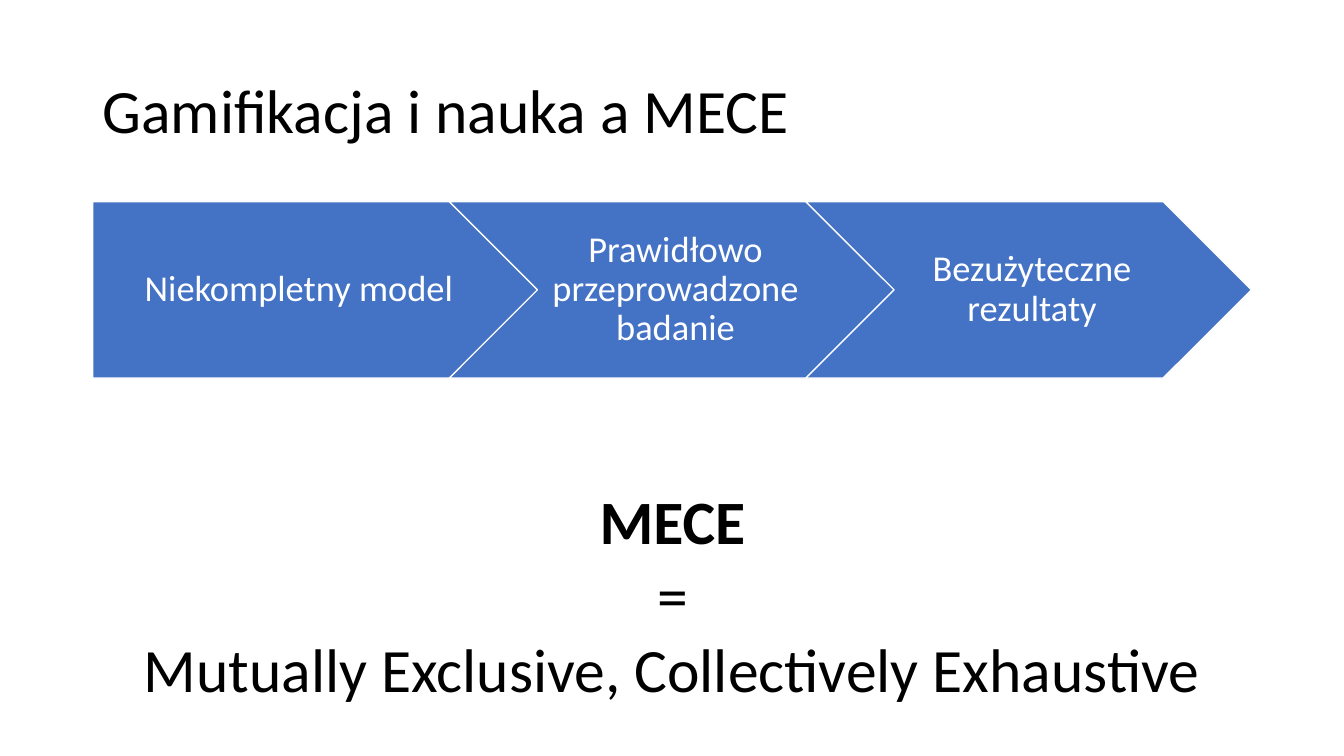
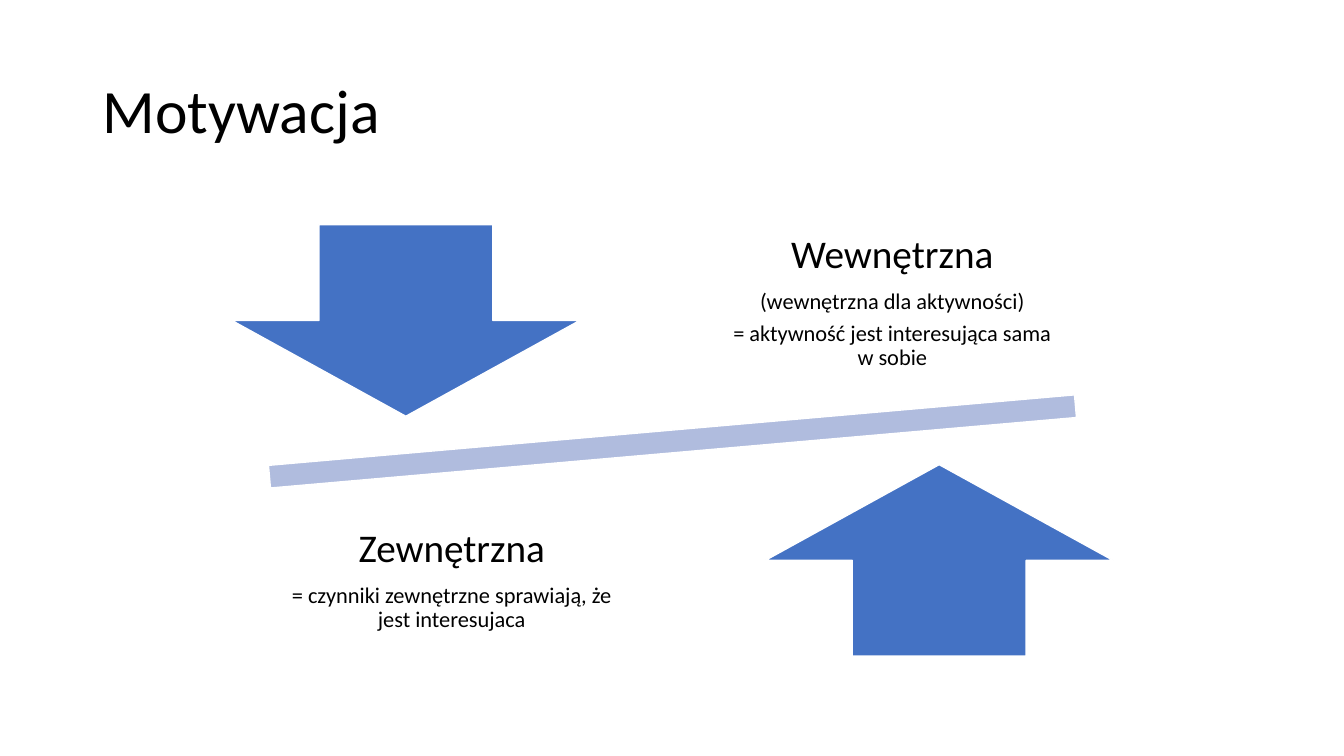
from pptx import Presentation
from pptx.dml.color import RGBColor
from pptx.enum.shapes import MSO_SHAPE
from pptx.enum.text import MSO_ANCHOR, MSO_AUTO_SIZE, PP_ALIGN
from pptx.util import Inches, Pt

BLUE = RGBColor(0x44, 0x72, 0xC4)
PALE_BLUE = RGBColor(0xB0, 0xBC, 0xDE)
BLACK = RGBColor(0x00, 0x00, 0x00)
WHITE = RGBColor(0xFF, 0xFF, 0xFF)
FONT = "Calibri"
MARGIN = 0.92
CONTENT_WIDTH = 11.5
TITLE_SIZE = 44


def write_text(shape, lines, insets=(0.1, 0.05, 0.1, 0.05), anchor=MSO_ANCHOR.MIDDLE,
               align=PP_ALIGN.CENTER, color=BLACK, line_spacing=0.9, space_ratio=0):
    """Fill a shape with (text, size, bold) lines; space_ratio is space after per font size."""
    frame = shape.text_frame
    frame.word_wrap = True
    frame.vertical_anchor = anchor
    for side, inset in zip(("left", "top", "right", "bottom"), insets):
        setattr(frame, f"margin_{side}", Inches(inset))
    for index, (text, size, bold) in enumerate(lines):
        paragraph = frame.add_paragraph() if index else frame.paragraphs[0]
        paragraph_format = {"alignment": align, "line_spacing": line_spacing,
                            "space_after": Pt(size * space_ratio)}
        for name, value in paragraph_format.items():
            setattr(paragraph, name, value)
        run = paragraph.add_run()
        run.text = text
        for name, value in {"name": FONT, "size": Pt(size), "bold": bold}.items():
            setattr(run.font, name, value)
        run.font.color.rgb = color


def add_block(slide, preset, left, top, width, height, fill=BLUE):
    """Add a filled preset shape with a thin white outline."""
    shape = slide.shapes.add_shape(preset, Inches(left), Inches(top), Inches(width), Inches(height))
    shape.shadow.inherit = False
    shape.fill.solid()
    shape.fill.fore_color.rgb = fill
    shape.line.color.rgb = WHITE
    shape.line.width = Pt(1)
    return shape


presentation = Presentation()
presentation.slide_width = Inches(13.33)
presentation.slide_height = Inches(7.5)

slides = []
for title in ("Gamifikacja i nauka a MECE", "Motywacja"):
    slide = presentation.slides.add_slide(presentation.slide_layouts[6])
    title_box = slide.shapes.add_textbox(
        Inches(MARGIN), Inches(0.4), Inches(CONTENT_WIDTH), Inches(1.45))
    write_text(title_box, [(title, TITLE_SIZE, False)], align=PP_ALIGN.LEFT)
    slides.append(slide)
mece_slide, motivation_slide = slides

# Process arrows: each step overlaps the previous one by a fifth of its width
STEP_WIDTH = 4.42
steps = [
    (MSO_SHAPE.PENTAGON, "Niekompletny model", 0.15),
    (MSO_SHAPE.CHEVRON, "Prawidłowo przeprowadzone badanie", 0.11),
    (MSO_SHAPE.CHEVRON, "Bezużyteczne rezultaty", 0.11),
]
for index, (preset, text, left_inset) in enumerate(steps):
    step = add_block(mece_slide, preset, MARGIN + index * 0.8 * STEP_WIDTH, 2, STEP_WIDTH, 1.75)
    write_text(step, [(text, 26, False)], insets=(left_inset, 0.08, 0.04, 0.08),
               color=WHITE, space_ratio=0.35)

definition = mece_slide.shapes.add_textbox(
    Inches(MARGIN), Inches(4.74), Inches(CONTENT_WIDTH), Inches(2.32))
write_text(definition, [
    ("MECE", TITLE_SIZE, True),
    ("=", TITLE_SIZE, False),
    ("Mutually Exclusive, Collectively Exhaustive", TITLE_SIZE, False),
], anchor=MSO_ANCHOR.TOP, line_spacing=1.0)
definition.text_frame.auto_size = MSO_AUTO_SIZE.SHAPE_TO_FIT_TEXT

# Balance: a tilted bar between two opposing arrows
bar = add_block(motivation_slide, MSO_SHAPE.MATH_MINUS, 1.21, 3.9, 10.92, 0.96, PALE_BLUE)
bar.rotation = 355
for preset, left, top in ((MSO_SHAPE.DOWN_ARROW, 2.3, 2.23), (MSO_SHAPE.UP_ARROW, 7.59, 4.61)):
    add_block(motivation_slide, preset, left, top, 3.45, 1.9)

motivations = [
    (7.01, 2, "Wewnętrzna",
     ["(wewnętrzna dla aktywności)", "= aktywność jest interesująca sama w sobie"]),
    (2.64, 4.76, "Zewnętrzna",
     ["= czynniki zewnętrzne sprawiają, że jest interesujaca"]),
]
for left, top, heading, details in motivations:
    label = motivation_slide.shapes.add_textbox(
        Inches(left), Inches(top), Inches(3.68), Inches(2))
    lines = [(heading, 28, False)] + [(detail, 16, False) for detail in details]
    write_text(label, lines, insets=(0.22,) * 4, space_ratio=0.35)

presentation.save("out.pptx")
